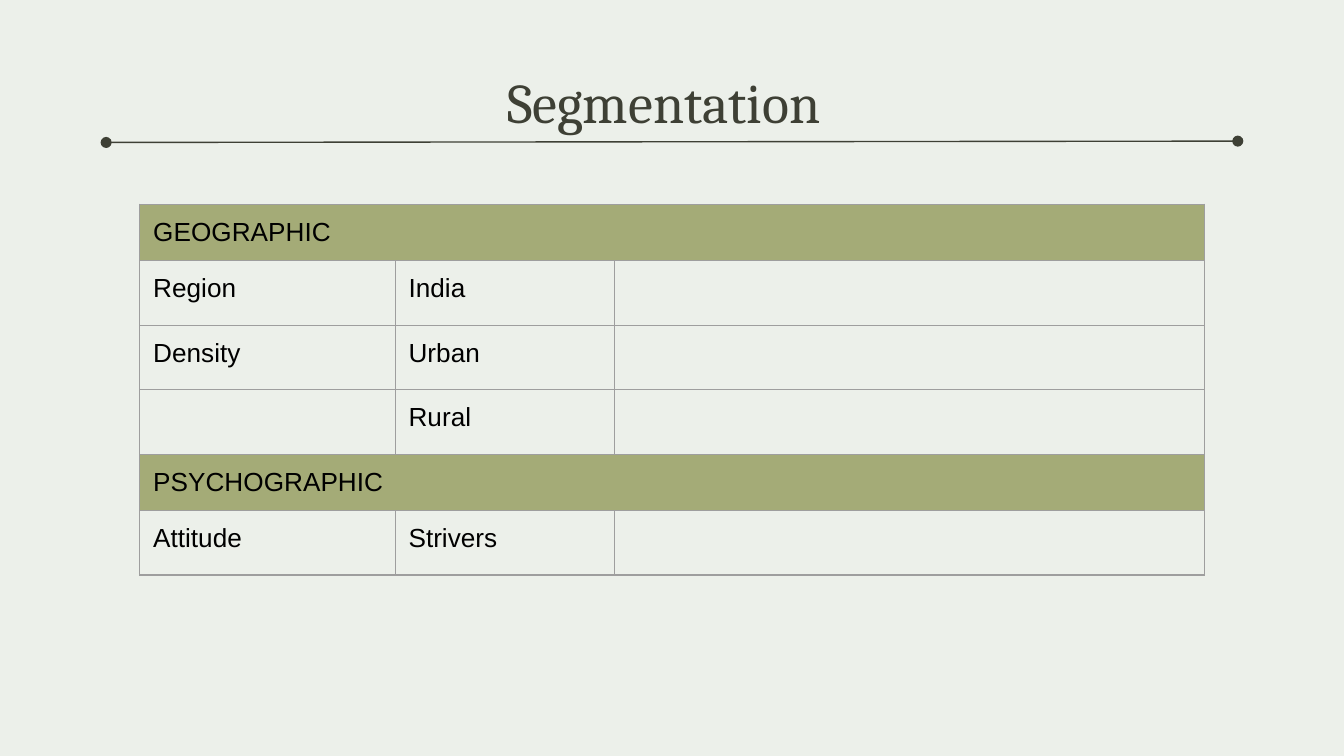
from lxml.etree import SubElement as Sub
from pptx import Presentation
from pptx.dml.color import RGBColor
from pptx.enum.shapes import MSO_CONNECTOR as Conn
from pptx.enum.text import MSO_ANCHOR as Anchor, PP_ALIGN as Align
from pptx.oxml.ns import qn
from pptx.util import Inches, Pt

INK, SAGE, GREY, PALE = "3E4035", "A4AB77", "9E9E9E", "ECF0EA"


def color(code):
    return RGBColor.from_string(code)


def write(frame, text, font="Arial", size=14, ink="000000", align=Align.LEFT):
    para = frame.paragraphs[0]
    para.alignment = align
    run = para.add_run()
    run.text = text
    run.font.name = font
    run.font.size = Pt(size)
    run.font.color.rgb = color(ink)


def pad(item):
    item.margin_left = item.margin_right = Inches(0.1)
    item.margin_top = item.margin_bottom = Inches(0.1)


class Deck:
    def __init__(self):
        self.show = Presentation()
        self.show.slide_width = Inches(10)
        self.show.slide_height = Inches(10 * 9 / 16)
        self.slide = self.show.slides.add_slide(self.show.slide_layouts[5])
        fill = self.slide.background.fill
        fill.solid()
        fill.fore_color.rgb = color(PALE)

    def title(self, text, left, top, width, height):
        shape = self.slide.shapes.title
        shape.left, shape.top = Inches(left), Inches(top)
        shape.width, shape.height = Inches(width), Inches(height)
        frame = shape.text_frame
        pad(frame)
        frame.vertical_anchor = Anchor.TOP
        write(frame, text, font="Cambria", size=30, ink=INK, align=Align.CENTER)

    def rule(self, *ends):
        line = self.slide.shapes.add_connector(Conn.STRAIGHT, *map(Inches, ends))
        line.line.color.rgb = color(INK)
        line.line.width = Pt(0.75)
        props = line.line._get_or_add_ln()
        for tag in ("a:headEnd", "a:tailEnd"):
            Sub(props, qn(tag), type="oval")
        Sub(line._element.spPr, qn("a:effectLst"))

    def border(self, cell):
        props = cell._tc.get_or_add_tcPr()
        for side in "LRTB":
            edge = Sub(props, qn(f"a:ln{side}"), w=str(Pt(0.75)))
            Sub(Sub(edge, qn("a:solidFill")), qn("a:srgbClr"), val=GREY)

    def table(self, rows, left, top, widths):
        highs = [0.42 if len(row) == 1 else 0.48 for row in rows]
        area = map(Inches, (left, top, sum(widths), sum(highs)))
        grid = self.slide.shapes.add_table(len(rows), len(widths), *area).table
        grid.first_row = grid.horz_banding = False
        for col, width in zip(grid.columns, widths):
            col.width = Inches(width)
        for i, (row, high) in enumerate(zip(rows, highs)):
            grid.rows[i].height = Inches(high)
            head = len(row) == 1
            for j in range(len(widths)):
                cell = grid.cell(i, j)
                self.border(cell)
                if head:
                    cell.fill.solid()
                    cell.fill.fore_color.rgb = color(SAGE)
                else:
                    cell.fill.background()
                if j < len(row) and row[j]:
                    pad(cell)
                    write(cell.text_frame, row[j])
            if head:
                grid.cell(i, 0).merge(grid.cell(i, len(widths) - 1))


def main():
    deck = Deck()
    deck.title("Segmentation", 0.68, 0.4, 8.52, 0.63)
    deck.rule(0.79, 1.06, 9.21, 1.05)
    rows = [
        ["GEOGRAPHIC"],
        ["Region", "India", ""],
        ["Density", "Urban", ""],
        ["", "Rural", ""],
        ["PSYCHOGRAPHIC"],
        ["Attitude", "Strivers", ""],
    ]
    deck.table(rows, 1.04, 1.52, [1.9, 1.63, 4.39])
    deck.show.save("out.pptx")


if __name__ == "__main__":
    main()
